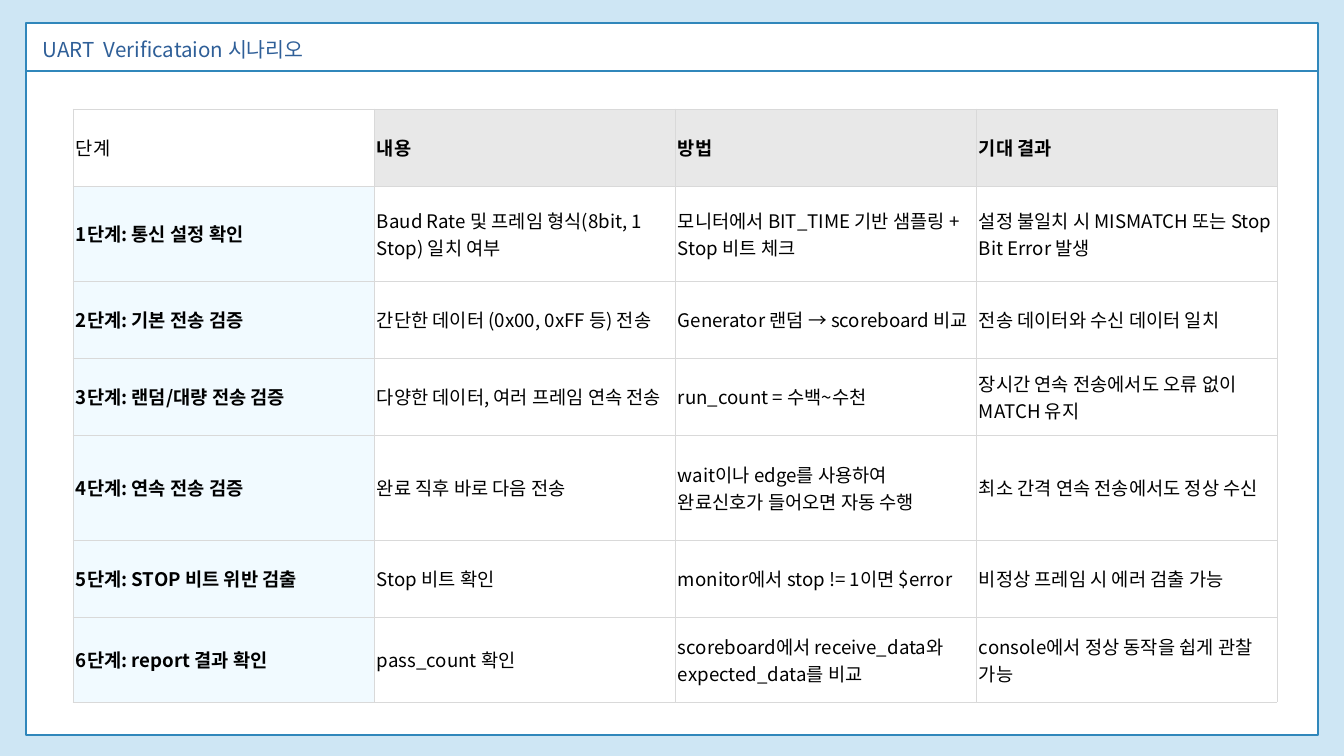
"""Build the UART verification scenario slide with its step table."""
from lxml.etree import SubElement
from pptx import Presentation
from pptx.dml.color import RGBColor
from pptx.enum.shapes import MSO_CONNECTOR as Connector, MSO_SHAPE as Shape
from pptx.enum.text import MSO_ANCHOR as Anchor
from pptx.oxml import parse_xml
from pptx.oxml.ns import nsdecls, qn
from pptx.util import Pt

PX = 914400 / 67.2
FONT = "Noto Sans CJK KR"
SKY = RGBColor(0xCE, 0xE6, 0xF4)
BLUE = RGBColor(0x30, 0x87, 0xBB)
NAVY = RGBColor(0x2F, 0x5F, 0x98)
WHITE = RGBColor(0xFF, 0xFF, 0xFF)
BLACK = RGBColor(0x00, 0x00, 0x00)
GREY = RGBColor(0xE8, 0xE8, 0xE8)
ICE = RGBColor(0xF1, 0xFA, 0xFF)
RULE = RGBColor(0xD9, 0xD9, 0xD9)

ROW_HEIGHTS = [77, 95, 77, 77, 105, 77, 85]
COLUMN_WIDTH = 301
STEPS = [
    ["단계", "내용", "방법", "기대 결과"],
    ["1단계: 통신 설정 확인", "Baud Rate 및 프레임 형식(8bit, 1 Stop) 일치 여부",
     "모니터에서 BIT_TIME 기반 샘플링 + Stop 비트 체크",
     "설정 불일치 시 MISMATCH 또는 Stop Bit Error 발생"],
    ["2단계: 기본 전송 검증", "간단한 데이터 (0x00, 0xFF 등) 전송",
     "Generator 랜덤 → scoreboard 비교", "전송 데이터와 수신 데이터 일치"],
    ["3단계: 랜덤/대량 전송 검증", "다양한 데이터, 여러 프레임 연속 전송",
     "run_count = 수백~수천", "장시간 연속 전송에서도 오류 없이 MATCH 유지"],
    ["4단계: 연속 전송 검증", "완료 직후 바로 다음 전송",
     "wait이나 edge를 사용하여 완료신호가 들어오면 자동 수행",
     "최소 간격 연속 전송에서도 정상 수신"],
    ["5단계: STOP 비트 위반 검출", "Stop 비트 확인",
     "monitor에서 stop != 1이면 $error", "비정상 프레임 시 에러 검출 가능"],
    ["6단계: report 결과 확인", "pass_count 확인",
     "scoreboard에서 receive_data와 expected_data를 비교",
     "console에서 정상 동작을 쉽게 관찰 가능"],
]


def px(*lengths):
    return [round(length * PX) for length in lengths]


def write(frame, text, size=20, color=BLACK, bold=False, spacing=None):
    paragraph = frame.paragraphs[0]
    paragraph.line_spacing = spacing
    run = paragraph.add_run()
    run.text = text
    run.font.size = Pt(size)
    run.font.bold = bold
    run.font.color.rgb = color
    run.font.name = FONT
    SubElement(run.font._element, qn("a:ea"), typeface=FONT)


deck = Presentation()
deck.slide_width, deck.slide_height = px(1344, 756)
slide = deck.slides.add_slide(deck.slide_layouts[6])
slide.background.fill.solid()
slide.background.fill.fore_color.rgb = SKY

panel = slide.shapes.add_shape(Shape.RECTANGLE, *px(26, 23, 1292, 712))
panel.shadow.inherit = False
panel.fill.solid()
panel.fill.fore_color.rgb = WHITE
panel.line.color.rgb = BLUE
panel.line.width = Pt(1.5)

divider = slide.shapes.add_connector(Connector.STRAIGHT, *px(26, 71, 1318, 71))
divider.line.color.rgb = BLUE
divider.line.width = Pt(1.5)
SubElement(divider._element.spPr, qn("a:effectLst"))

title = slide.shapes.add_textbox(*px(43, 33, 325, 28)).text_frame
title.word_wrap = True
title.margin_left = title.margin_right = title.margin_top = title.margin_bottom = 0
write(title, "UART  Verificataion 시나리오", size=22, color=NAVY, spacing=Pt(30.8))

scenario = slide.shapes.add_table(
    len(STEPS), len(STEPS[0]),
    *px(73, 109, COLUMN_WIDTH * len(STEPS[0]), sum(ROW_HEIGHTS))).table
for column in scenario.columns:
    column.width = px(COLUMN_WIDTH)[0]
for row, height in zip(scenario.rows, ROW_HEIGHTS):
    row.height = px(height)[0]

for r, step in enumerate(STEPS):
    for c, wording in enumerate(step):
        cell = scenario.cell(r, c)
        cell.vertical_anchor = Anchor.MIDDLE
        cell.margin_left = cell.margin_right = px(3)[0]
        cell.margin_top = cell.margin_bottom = px(2)[0]
        for side in ("lnL", "lnR", "lnT", "lnB"):
            cell._tc.get_or_add_tcPr().append(parse_xml(
                f'<a:{side} {nsdecls("a")} w="{Pt(0.75)}"><a:solidFill>'
                f'<a:srgbClr val="{RULE}"/></a:solidFill></a:{side}>'))
        is_heading = (r == 0) != (c == 0)
        cell.fill.solid()
        cell.fill.fore_color.rgb = (GREY if r == 0 else ICE) if is_heading else WHITE
        write(cell.text_frame, wording, bold=is_heading)

deck.save("out.pptx")
